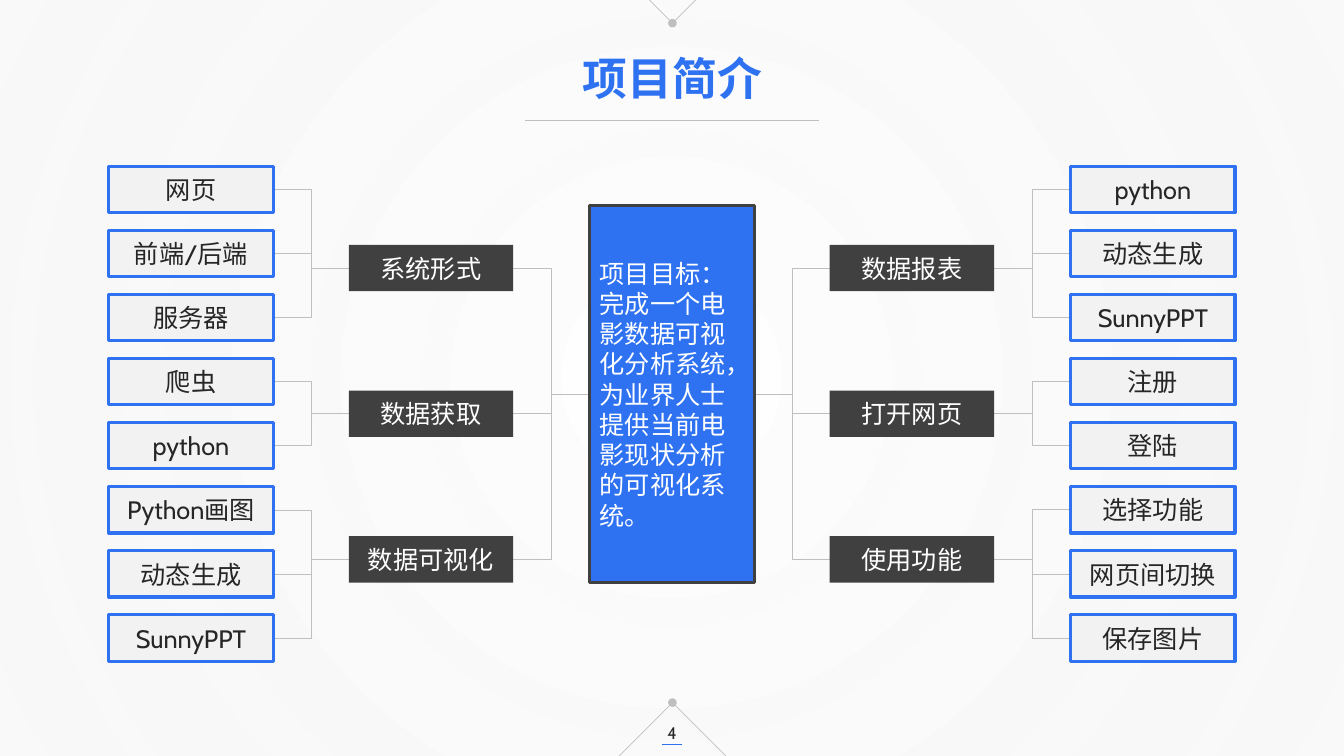
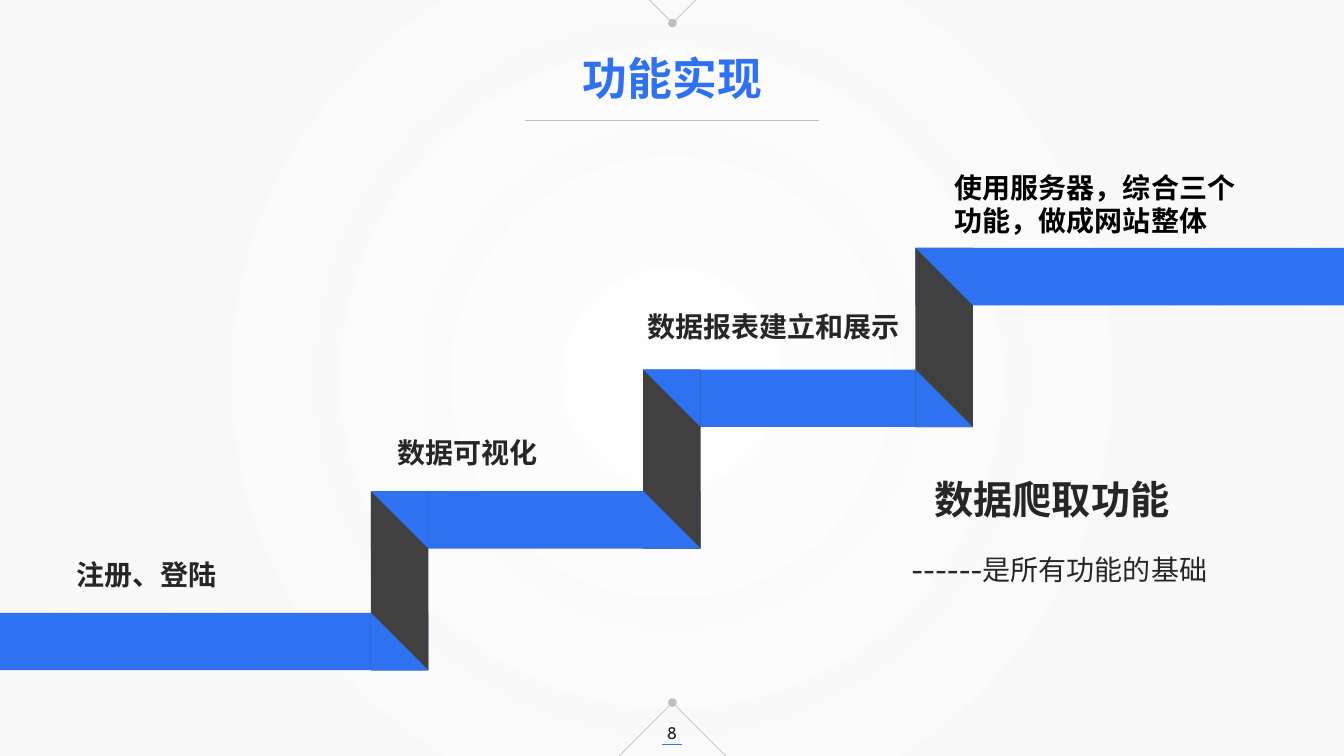
from pptx import Presentation
from pptx.dml.color import RGBColor
from pptx.enum.lang import MSO_LANGUAGE_ID as Lang
from pptx.enum.shapes import MSO_CONNECTOR as Link, MSO_SHAPE as Shape
from pptx.enum.text import MSO_ANCHOR as Anchor, MSO_AUTO_SIZE as Fit, PP_ALIGN as Align
from pptx.oxml import parse_xml
from pptx.oxml.ns import nsdecls
from pptx.util import Inches, Pt

FONT = "Cabin"
WIDE, HIGH = 13.33, 7.5
MID = 6.67
COLORS = {
    "blue": "2E72F1",
    "dark": "404040",
    "text": "262626",
    "pale": "F2F2F2",
    "gray": "BFBFBF",
    "white": "FFFFFF",
    "black": "000000",
}
LEFT = [
    ("系统形式", ["网页", "前端/后端", "服务器"]),
    ("数据获取", ["爬虫", "python"]),
    ("数据可视化", ["Python画图", "动态生成", "SunnyPPT"]),
]
RIGHT = [
    ("数据报表", ["python", "动态生成", "SunnyPPT"]),
    ("打开网页", ["注册", "登陆"]),
    ("使用功能", ["选择功能", "网页间切换", "保存图片"]),
]
GOAL = "项目目标：完成一个电影数据可视化分析系统，为业界人士提供当前电影现状分析的可视化系统。"


def rgb(name):
    return RGBColor.from_string(COLORS[name])


def inches(*nums):
    return [Inches(num) for num in nums]


def xml(body):
    return parse_xml(body.replace(" NS", " " + nsdecls("a"), 1))


def write(frame, text, size, color, bold=False, align=Align.LEFT):
    para = frame.paragraphs[0]
    para.alignment = align
    run = para.add_run()
    run.text = text
    font = run.font
    font.name, font.size, font.bold = FONT, Pt(size), bold
    font.color.rgb = rgb(color)
    font.language_id = Lang.SIMPLIFIED_CHINESE
    return para


def block(slide, at, fill, edge=None, kind=Shape.RECTANGLE):
    shape = slide.shapes.add_shape(kind, *inches(*at))
    shape.shadow.inherit = False
    shape.fill.solid()
    shape.fill.fore_color.rgb = rgb(fill)
    if edge:
        shape.line.color.rgb = rgb(edge)
        shape.line.width = Pt(2.25)
    else:
        shape.line.fill.background()
    return shape


def node(slide, at, text, color, fill, edge=None, align=Align.CENTER):
    shape = block(slide, at, fill, edge)
    shape.text_frame.vertical_anchor = Anchor.MIDDLE
    write(shape.text_frame, text, 18, color, align=align)
    return shape


def label(slide, at, text, size, color="text", bold=True, align=Align.LEFT):
    frame = slide.shapes.add_textbox(*inches(*at)).text_frame
    frame.word_wrap = True
    return write(frame, text, size, color, bold, align)


def line(slide, ends, color="gray", kind=Link.STRAIGHT, dot=False):
    link = slide.shapes.add_connector(kind, *inches(*ends))
    link.line.color.rgb = rgb(color)
    link.line.width = Pt(0.5)
    if dot:
        link.get_or_add_ln().append(xml('<a:tailEnd NS type="oval"/>'))
    link.element.spPr.append(xml("<a:effectLst NS/>"))
    return link


def join(slide, start, end):
    link = line(slide, (0, 0, 1, 1), kind=Link.ELBOW)
    link.begin_connect(start, 3)
    link.end_connect(end, 1)
    slide.shapes.element.insert(2, link.element)


def glow(slide):
    shape = block(slide, (0, 0, WIDE, HIGH), "white")
    solid = shape.element.spPr.find("{*}solidFill")
    solid.getparent().replace(solid, xml(
        '<a:gradFill NS rotWithShape="1"><a:gsLst>'
        f'<a:gs pos="0"><a:srgbClr val="{COLORS["white"]}"/></a:gs>'
        f'<a:gs pos="100000"><a:srgbClr val="{COLORS["pale"]}">'
        '<a:alpha val="40000"/></a:srgbClr></a:gs></a:gsLst>'
        '<a:path path="circle"><a:fillToRect l="50000" t="50000" '
        'r="50000" b="50000"/></a:path></a:gradFill>'))


def dress(layout, slide):
    for holder in list(layout.placeholders)[1:]:
        holder.element.getparent().remove(holder.element)
    title = layout.placeholders[0]
    title.left, title.top, title.width, title.height = inches(5.67, 0.45, 2, 0.64)
    glow(slide)
    line(slide, (5.21, 1.19, 8.12, 1.19))
    for edge, tip, half in ((HIGH, 6.97, 0.53), (0, 0.23, 0.23)):
        for side in (-half, half):
            line(slide, (MID + side, edge, MID, tip), dot=True)
    line(slide, (6.57, 7.38, 6.76, 7.38), "blue")
    for shape in list(slide.shapes):
        if not shape.is_placeholder:
            title.element.addprevious(shape.element)


def head(slide, text, num):
    frame = slide.shapes.title.text_frame
    frame.word_wrap = False
    frame.auto_size = Fit.SHAPE_TO_FIT_TEXT
    frame.vertical_anchor = Anchor.TOP
    write(frame, text, 32, "blue", True, Align.CENTER)
    label(slide, (6.32, 7.12, 0.69, 0.28), num, 12, bold=False, align=Align.CENTER)


def tree(slide, core, data, stem, leaf):
    wide, high = 1.63, 0.46
    gap = (6.1 - 1.65) / 7
    row = 0
    for pos, (name, items) in enumerate(data):
        top = 2.43 + pos * 1.445
        hub = node(slide, (stem, top, wide, high), name, "white", "dark")
        join(slide, *((hub, core) if leaf < stem else (core, hub)))
        for item in items:
            at = (leaf, 1.65 + row * gap, wide, high)
            tip = node(slide, at, item, "text", "pale", "blue")
            join(slide, *((tip, hub) if leaf < stem else (hub, tip)))
            row += 1


def intro(slide):
    head(slide, "项目简介", "4")
    at = (5.85, 2.04, 1.63, 3.74)
    core = node(slide, at, GOAL, "white", "blue", "dark", Align.LEFT)
    tree(slide, core, LEFT, 3.46, 1.08)
    tree(slide, core, RIGHT, 8.23, 10.62)


def stairs(slide):
    thick, run, base = 0.57, 2.7, 3.68
    rise = (6.08 - 2.46) / 3
    tops = [6.08 - rise * step for step in range(4)]
    lefts = [0] + [base + run * step for step in range(3)]
    ends = [left + thick for left in lefts[1:]] + [WIDE]
    for left, end, top in zip(lefts, ends, tops):
        block(slide, (left, top, end - left, thick), "blue")
    for left, low, high in zip(lefts[1:], tops, tops[1:]):
        block(slide, (left, high, thick, rise + thick), "dark")
        for top, turn in ((low, 0), (high, 180)):
            at = (left, top, thick, thick)
            block(slide, at, "blue", kind=Shape.RIGHT_TRIANGLE).rotation = turn


def build(slide):
    head(slide, "功能实现", "8")
    stairs(slide)
    label(slide, (0.66, 5.48, 2.39, 0.44), "注册、登陆", 20)
    label(slide, (3.84, 4.27, 2.39, 0.44), "数据可视化", 20)
    label(slide, (6.32, 3.02, 2.88, 0.44), "数据报表建立和展示", 20)
    label(slide, (9.37, 1.64, 3.02, 0.77), "使用服务器，综合三个功能，做成网站整体", 20, "black")
    label(slide, (9.17, 4.67, 3.08, 0.57), "数据爬取功能", 28)
    note = label(slide, (8.94, 5.33, 3.49, 0.54), "------是所有功能的基础", 20, bold=False)
    note.line_spacing = 1.3


def main():
    deck = Presentation()
    deck.slide_width, deck.slide_height = inches(WIDE, HIGH)
    layout = deck.slide_layouts[5]
    first, second = [deck.slides.add_slide(layout) for _ in range(2)]
    dress(layout, first)
    intro(first)
    build(second)
    deck.save("out.pptx")


if __name__ == "__main__":
    main()
